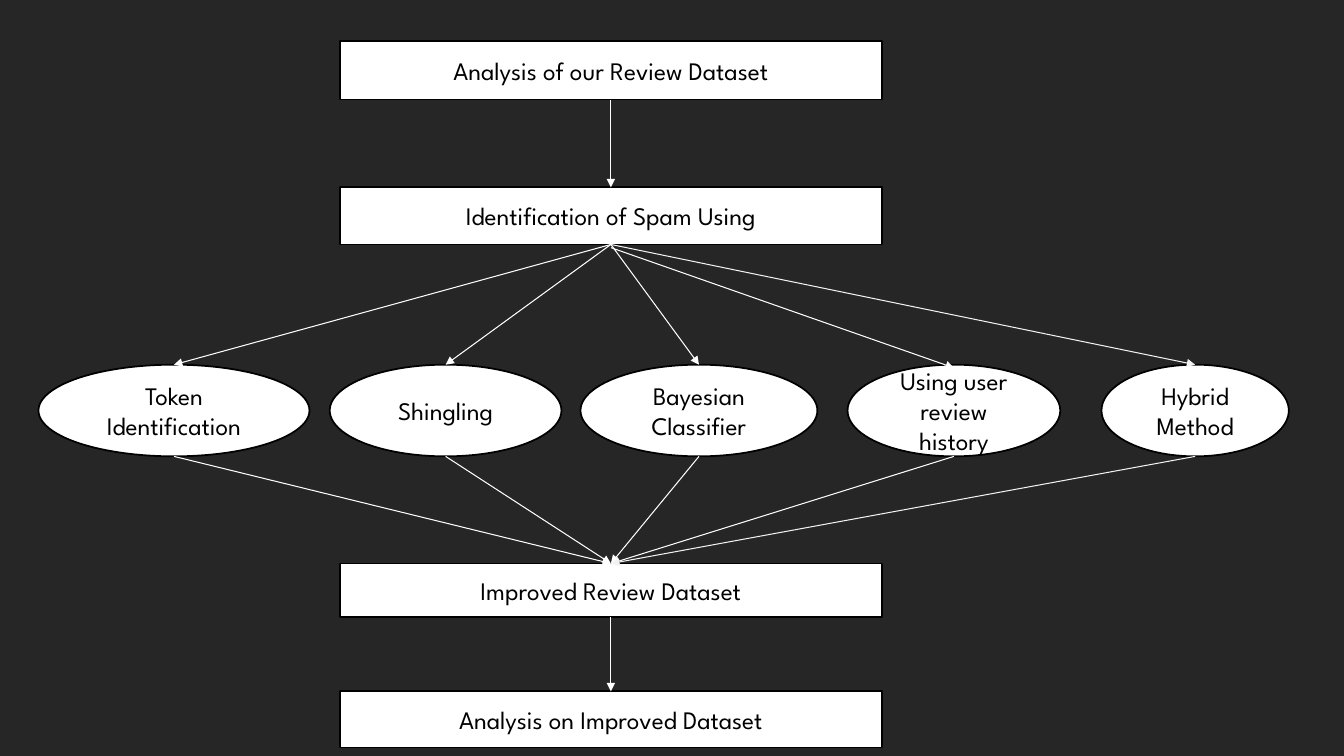
from lxml import etree
from pptx import Presentation
from pptx.dml.color import RGBColor
from pptx.enum.shapes import MSO_CONNECTOR, MSO_SHAPE
from pptx.enum.text import MSO_ANCHOR, PP_ALIGN
from pptx.oxml.ns import qn
from pptx.util import Cm, Pt

RECTANGLE, OVAL = MSO_SHAPE.RECTANGLE, MSO_SHAPE.OVAL
STRAIGHT = MSO_CONNECTOR.STRAIGHT
MIDDLE, CENTER = MSO_ANCHOR.MIDDLE, PP_ALIGN.CENTER
WHITE, PALE, BLACK, CHARCOAL = "FFFFFF", "F2F2F2", "000000", "262626"


def color(value):
    return RGBColor.from_string(value)


class FlowPage:
    """Draws flowchart nodes and arrows on one page in a shared style."""

    font_name, font_size = "League Spartan", Pt(18)
    outline_width, arrow_width = Pt(1.25), Pt(0.75)

    def __init__(self, page):
        self.page = page
        page.background.fill.solid()
        page.background.fill.fore_color.rgb = color(CHARCOAL)

    def node(self, kind, text, left, top, width, height):
        box = self.page.shapes.add_shape(kind, Cm(left), Cm(top), Cm(width), Cm(height))
        box.shadow.inherit = False
        box.fill.solid()
        box.fill.fore_color.rgb = color(WHITE)
        box.line.color.rgb = color(BLACK)
        box.line.width = self.outline_width
        frame = box.text_frame
        frame.word_wrap = True
        frame.vertical_anchor = MIDDLE
        para = frame.paragraphs[0]
        para.text = text
        para.alignment = CENTER
        para.font.name = self.font_name
        para.font.size = self.font_size
        para.font.color.rgb = color(BLACK)
        return box

    def arrow(self, source, target, tint=WHITE, drop=0):
        line = self.page.shapes.add_connector(
            STRAIGHT,
            source.left + source.width // 2, source.top + source.height + Cm(drop),
            target.left + target.width // 2, target.top + Cm(drop))
        line.line.color.rgb = color(tint)
        line.line.width = self.arrow_width
        etree.SubElement(line.line._get_or_add_ln(), qn("a:tailEnd"), type="triangle")
        etree.SubElement(line._element.spPr, qn("a:effectLst"))


STEPS = [
    ("Analysis of our Review Dataset", 1.04, 1.47),
    ("Identification of Spam Using", 4.72, 1.44),
    ("Improved Review Dataset", 14.2, 1.35),
    ("Analysis on Improved Dataset", 17.42, 1.42),
]
METHODS = [
    ("Token Identification", 0.97, 6.83, WHITE, 0),
    ("Shingling", 8.31, 5.84, WHITE, 0),
    ("Bayesian Classifier", 14.63, 5.97, WHITE, 0),
    ("Using user review history", 21.36, 5.36, WHITE, 0.08),
    ("Hybrid Method", 27.76, 4.72, PALE, 0),
]

deck = Presentation()
deck.slide_width, deck.slide_height = Cm(33.87), Cm(19.05)
flow = FlowPage(deck.slides.add_slide(deck.slide_layouts[6]))

dataset, identification, improved, analysis = [
    flow.node(RECTANGLE, text, 8.56, top, 13.67, height) for text, top, height in STEPS]
flow.arrow(dataset, identification)
for text, left, width, tint, drop in METHODS:
    method = flow.node(OVAL, text, left, 9.19, width, 2.31)
    flow.arrow(identification, method, tint, drop)
    flow.arrow(method, improved, tint)
flow.arrow(improved, analysis)

deck.save("out.pptx")
